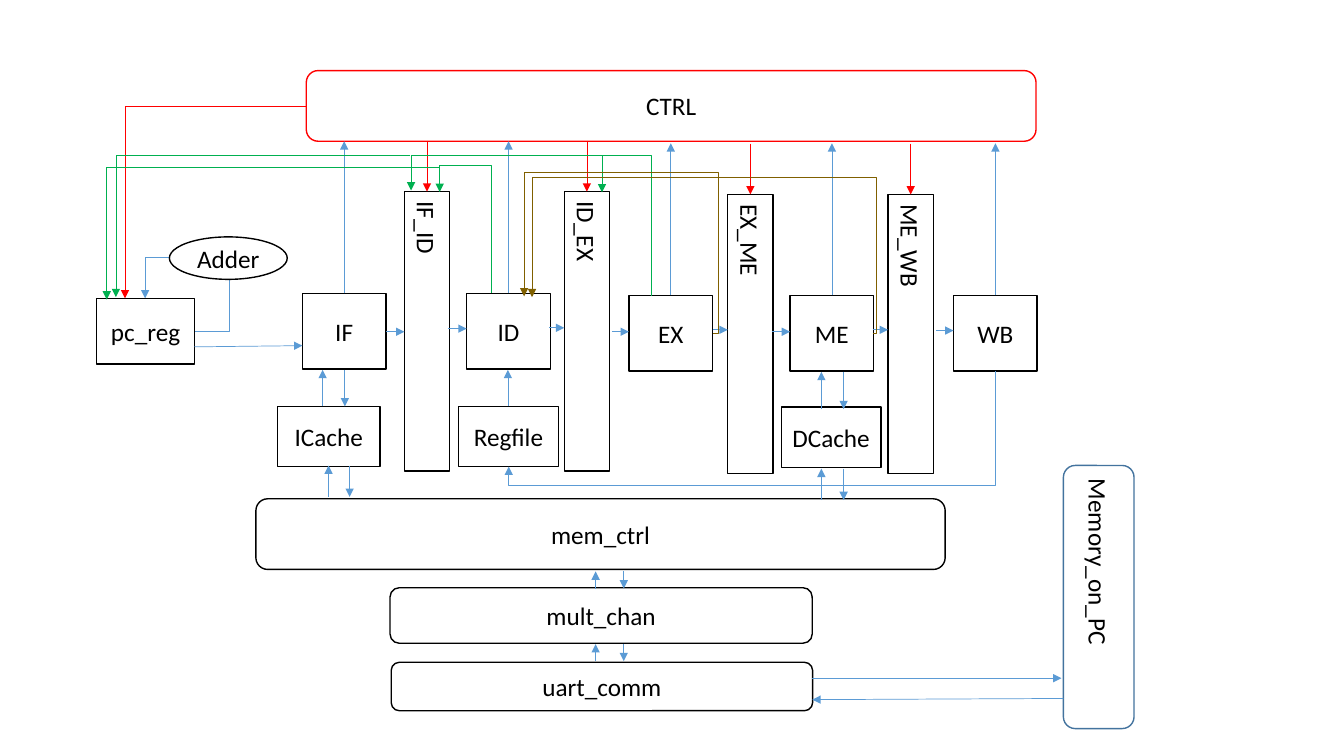
"""Draw the block diagram of a five-stage pipelined processor."""
import dataclasses
import typing

import lxml.etree
import pptx
import pptx.dml.color
import pptx.enum.shapes
import pptx.enum.text
import pptx.oxml.ns
import pptx.util

Cm = pptx.util.Cm
Pt = pptx.util.Pt
RGB = pptx.dml.color.RGBColor
qn = pptx.oxml.ns.qn
SHAPE = pptx.enum.shapes.MSO_SHAPE
LINK = pptx.enum.shapes.MSO_CONNECTOR


@dataclasses.dataclass(frozen=True)
class Theme:
    font: str = "Calibri"
    text_size: float = 18
    box_line: float = 1
    arrow_line: float = 0.5
    white: str = "FFFFFF"
    black: str = "000000"
    data: str = "5B9BD5"
    control: str = "FF0000"
    branch: str = "00B050"
    forward: str = "806000"
    host: str = "43739E"


THEME = Theme()


@dataclasses.dataclass(frozen=True)
class Box:
    text: str
    x: float
    y: float
    w: float
    h: float
    kind: SHAPE = SHAPE.RECTANGLE
    color: str = THEME.black
    vertical: bool = False


@dataclasses.dataclass(frozen=True)
class Arrow:
    x1: float
    y1: float
    x2: float
    y2: float
    color: str = THEME.data


@dataclasses.dataclass(frozen=True)
class Elbow:
    x: float
    y: float
    w: float
    h: float
    segments: int
    adjust: tuple[float, ...] = ()
    rotation: int = 180
    flips: tuple[str, ...] = ("flipV",)
    color: str = THEME.branch


STAGES = [
    Box(name, x, y, 2.11, 1.91)
    for name, x, y in [("IF", 7.62, 7.39), ("ID", 11.76, 7.39), ("EX", 15.85, 7.44),
                       ("ME", 19.91, 7.44), ("WB", 24.03, 7.44)]
]
LATCHES = [
    Box(name, x, y, 1.14, 7.04, vertical=True)
    for name, x, y in [("IF_ID", 10.19, 4.83), ("ID_EX", 14.22, 4.83),
                       ("EX_ME", 18.34, 4.9), ("ME_WB", 22.38, 4.9)]
]
UNITS = [
    Box("pc_reg", 2.44, 7.52, 2.46, 1.65),
    Box("Adder", 4.27, 5.97, 2.97, 1.07, SHAPE.OVAL),
    Box("CTRL", 7.72, 1.78, 18.39, 1.78, SHAPE.ROUNDED_RECTANGLE, THEME.control),
    Box("ICache", 6.99, 10.24, 2.59, 1.52),
    Box("Regfile", 11.56, 10.24, 2.51, 1.52),
    Box("DCache", 19.69, 10.26, 2.51, 1.52),
    Box("mem_ctrl", 6.45, 12.57, 17.37, 1.78, SHAPE.ROUNDED_RECTANGLE),
    Box("mult_chan", 9.83, 14.81, 10.64, 1.4, SHAPE.ROUNDED_RECTANGLE),
    Box("uart_comm", 9.86, 16.69, 10.62, 1.22, SHAPE.ROUNDED_RECTANGLE),
    Box("Memory_on_PC", 26.8, 11.73, 1.78, 6.63, SHAPE.ROUNDED_RECTANGLE, THEME.host, True),
]

REQUESTS = [Arrow(b.x + b.w / 2, b.y, b.x + b.w / 2, b.y - 3.83) for b in STAGES]
STALLS = [Arrow(b.x + b.w / 2, b.y - 1.28, b.x + b.w / 2, b.y, THEME.control) for b in LATCHES]
PIPELINE = [
    Arrow(x1, y, x2, y)
    for x1, x2, y in [(9.73, 10.19, 8.36), (11.3, 11.76, 8.28), (13.84, 14.22, 8.26),
                      (15.42, 15.85, 8.36), (17.96, 18.34, 8.31), (19.46, 19.91, 8.36),
                      (22, 22.38, 8.31), (23.6, 24.03, 8.33)]
]
EXCHANGES = [
    arrow
    for up, down, top, bottom in [(8.13, 8.69, 9.32, 10.24), (8.28, 8.81, 11.73, 12.52),
                                  (15.01, 15.72, 14.4, 14.83), (15.01, 15.72, 16.23, 16.66),
                                  (20.7, 21.26, 9.37, 10.31), (20.7, 21.26, 11.81, 12.6)]
    for arrow in (Arrow(up, bottom, up, top), Arrow(down, top, down, bottom))
]
SINGLES = [
    Arrow(4.9, 8.74, 7.62, 8.71),
    Arrow(12.8, 10.24, 12.8, 9.32),
    Arrow(20.47, 17.09, 26.75, 17.09),
    Arrow(26.8, 17.6, 20.47, 17.63),
]
BOTH = ("flipH", "flipV")
ADDER_LOOP = Elbow(3.66, 7.52, 1.22, 0.84, 4, (-0.73, 2.22), 0, BOTH, THEME.data)
ELBOWS = [
    Elbow(3.15, 2.67, 4.57, 4.85, 2, color=THEME.control),
    Elbow(10.46, 5.46, 2.54, 1.3, 3, (1.26,), 270),
    Elbow(2.69, 4.22, 8.38, 3.33, 3, (1,)),
    Elbow(14.48, 5.54, 2.62, 1.24, 3, (1.36,), 270),
    Elbow(10.36, 3.91, 4.83, 0.89, 3, (1,)),
    Elbow(2.92, 3.91, 7.42, 3.58, 3, (1,)),
    Elbow(17.75, 4.42, 2.41, 12.27, 3, (1.2,), 90, (), THEME.data),
    Elbow(13.21, 7.47, 4.75, 0.94, 5, (-0.03, 4.33, 1), 0, BOTH, THEME.forward),
    Elbow(13.41, 7.49, 8.59, 0.91, 5, (-0.01, 4.33, 1), 0, BOTH, THEME.forward),
]


def apply(target: typing.Any, values: dict[str, typing.Any]) -> None:
    for name, value in values.items():
        setattr(target, name, value)


def draw_box(shapes: typing.Any, box: Box) -> None:
    sp = shapes.add_shape(box.kind, Cm(box.x), Cm(box.y), Cm(box.w), Cm(box.h))
    sp.shadow.inherit = False
    sp.fill.solid()
    sp.fill.fore_color.rgb = RGB.from_string(THEME.white)
    sp.line.color.rgb = RGB.from_string(box.color)
    sp.line.width = Pt(THEME.box_line)
    tf = sp.text_frame
    tf.vertical_anchor = pptx.enum.text.MSO_ANCHOR.MIDDLE
    if box.vertical:
        tf._txBody.bodyPr.set("vert", "eaVert")
    p = tf.paragraphs[0]
    p.alignment = pptx.enum.text.PP_ALIGN.CENTER
    r = p.add_run()
    r.text = box.text
    apply(r.font, {"name": THEME.font, "size": Pt(THEME.text_size)})
    r.font.color.rgb = RGB.from_string(THEME.black)


def add_link(shapes: typing.Any, kind: LINK, ends: tuple[float, ...], color: str) -> typing.Any:
    cxn = shapes.add_connector(kind, *(Cm(v) for v in ends))
    cxn.line.color.rgb = RGB.from_string(color)
    cxn.line.width = Pt(THEME.arrow_line)
    lxml.etree.SubElement(cxn.line._get_or_add_ln(), qn("a:tailEnd"), type="triangle")
    lxml.etree.SubElement(cxn._element.spPr, qn("a:effectLst"))
    return cxn


def draw_arrow(shapes: typing.Any, a: Arrow) -> None:
    add_link(shapes, LINK.STRAIGHT, (a.x1, a.y1, a.x2, a.y2), a.color)


def draw_elbow(shapes: typing.Any, e: Elbow) -> None:
    cxn = add_link(shapes, LINK.ELBOW, (e.x, e.y, e.x + e.w, e.y + e.h), e.color)
    xfrm = cxn._element.spPr.find(qn("a:xfrm"))
    xfrm.set("rot", str(e.rotation * 60000))
    for flip in e.flips:
        xfrm.set(flip, "1")
    geom = cxn._element.spPr.find(qn("a:prstGeom"))
    geom.set("prst", f"bentConnector{e.segments}")
    guides = geom.find(qn("a:avLst"))
    for i, ratio in enumerate(e.adjust, 1):
        lxml.etree.SubElement(guides, qn("a:gd"), name=f"adj{i}", fmla=f"val {round(ratio * 100000)}")


def main() -> None:
    prs = pptx.Presentation()
    apply(prs, {"slide_width": Cm(33.87), "slide_height": Cm(19.05)})
    s = prs.slides.add_slide(prs.slide_layouts[6])
    draw_elbow(s.shapes, ADDER_LOOP)
    for box in UNITS + LATCHES + STAGES:
        draw_box(s.shapes, box)
    for arrow in REQUESTS + STALLS + PIPELINE + EXCHANGES + SINGLES:
        draw_arrow(s.shapes, arrow)
    for elbow in ELBOWS:
        draw_elbow(s.shapes, elbow)
    prs.save("out.pptx")


if __name__ == "__main__":
    main()
